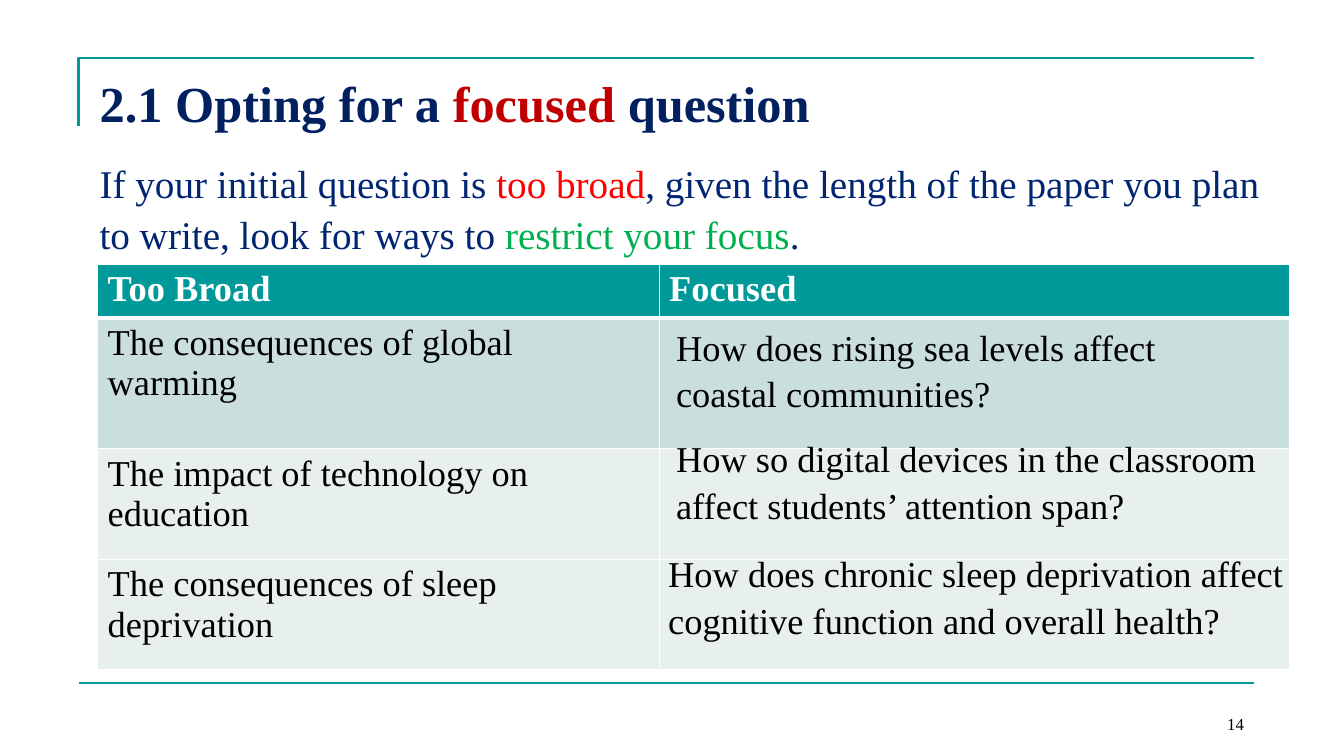
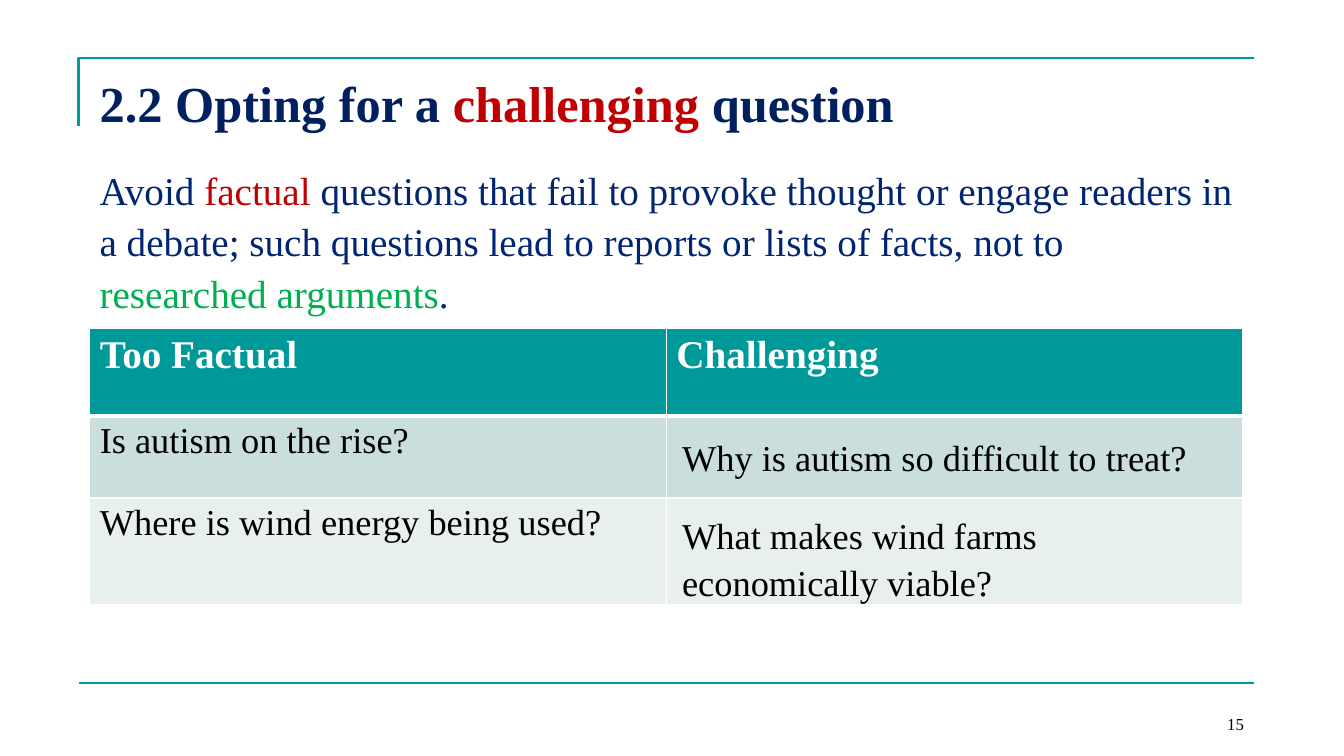
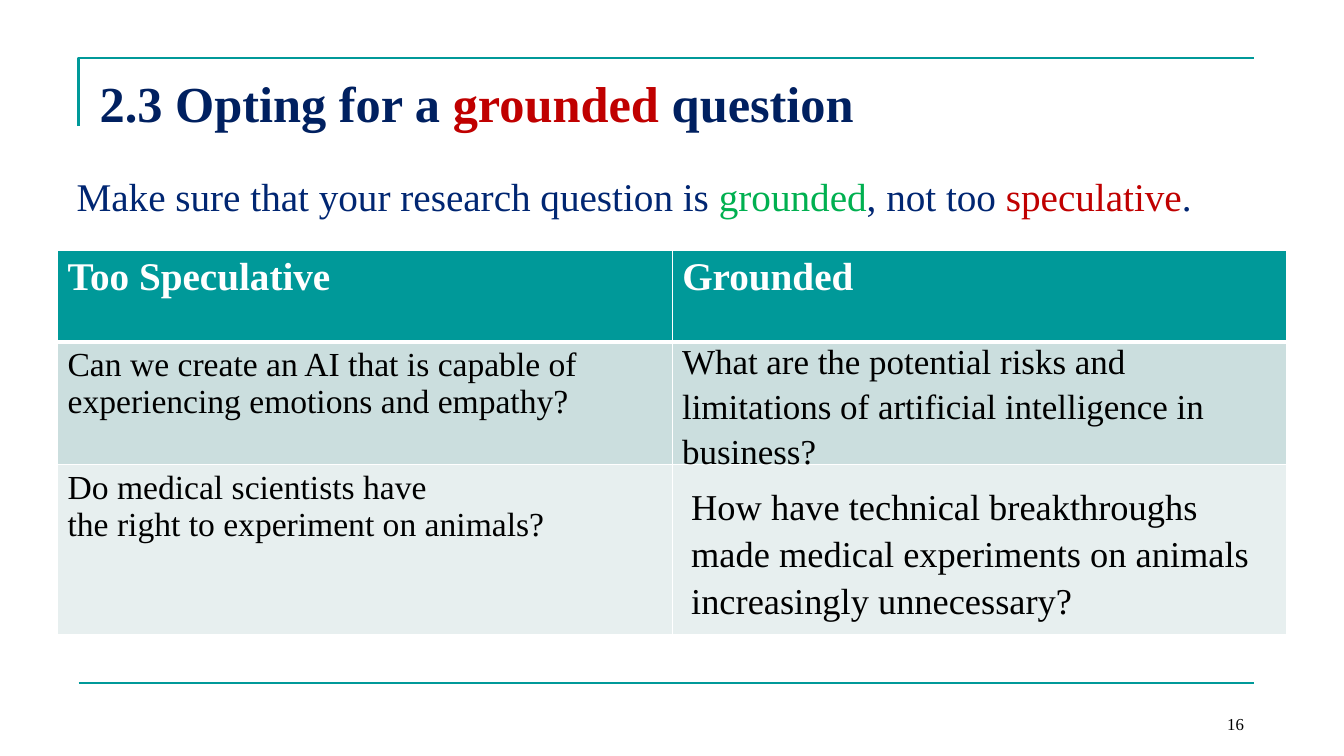
from dataclasses import dataclass
from typing import NamedTuple

from lxml import etree
from pptx import Presentation
from pptx.dml.color import RGBColor
from pptx.enum.shapes import MSO_CONNECTOR
from pptx.enum.text import MSO_ANCHOR, PP_ALIGN
from pptx.oxml.ns import qn
from pptx.util import Cm, Pt


@dataclass(frozen=True)
class Theme:
    font: str = "Times New Roman"
    teal: str = "009999"
    navy: str = "002060"
    blue: str = "002672"
    crimson: str = "C00000"
    red: str = "FF0000"
    green: str = "00B050"
    black: str = "000000"
    white: str = "FFFFFF"
    row_fills: tuple = ("CBDEDE", "E7EFEF")
    title_size: int = 36
    lead_size: int = 28
    answer_size: int = 26
    number_size: int = 12
    frame_width: float = 1.5
    cell_border: float = 1
    header_border: float = 3
    lead_spacing: float = 1.1
    answer_spacing: float = 1.07


THEME = Theme()


class Box(NamedTuple):
    """A region in centimetres."""
    left: float
    top: float
    width: float
    height: float

    def lengths(self):
        return [Cm(value) for value in self]


FRAME = Box(1.98, 1.47, 29.62, 15.73)
TITLE = Box(2.26, 1.7, 29.06, 2.46)
NUMBER = Box(23.7, 17.35, 7.9, 1.27)
FRAME_DROP = 1.71


def rgb(value):
    return RGBColor.from_string(value)


def style_font(font, size, colour, bold=False):
    font.name = THEME.font
    font.size = Pt(size)
    font.bold = bold
    font.color.rgb = rgb(colour)


def add_text(page, box, spans, size, colour, bold=False, spacing=None):
    """Place one paragraph made of (text, colour) spans; None keeps the base colour."""
    shape = page.shapes.add_textbox(*box.lengths())
    shape.text_frame.word_wrap = True
    para = shape.text_frame.paragraphs[0]
    style_font(para.font, size, colour, bold)
    if spacing:
        para.line_spacing = spacing
    for text, accent in spans:
        span = para.add_run()
        span.text = text
        style_font(span.font, size, accent or colour, bold)
    return shape


def add_frame(page, box):
    """Corner line above the title and rule above the footer."""
    right, bottom = box.left + box.width, box.top + box.height
    builder = page.shapes.build_freeform(Cm(box.left), Cm(box.top + FRAME_DROP))
    builder.add_line_segments(
        [(Cm(box.left), Cm(box.top)), (Cm(right), Cm(box.top))], close=False)
    corner = builder.convert_to_shape()
    corner.shadow.inherit = False
    corner.fill.background()
    rule = page.shapes.add_connector(
        MSO_CONNECTOR.STRAIGHT, Cm(box.left), Cm(bottom), Cm(right), Cm(bottom))
    for shape in (corner, rule):
        shape.line.color.rgb = rgb(THEME.teal)
        shape.line.width = Pt(THEME.frame_width)
    etree.SubElement(rule._element.spPr, qn("a:effectLst"))


def add_number(page, box, number):
    shape = add_text(page, box, [(str(number), None)], THEME.number_size, THEME.black)
    shape.text_frame.vertical_anchor = MSO_ANCHOR.BOTTOM
    shape.text_frame.paragraphs[0].alignment = PP_ALIGN.RIGHT


def set_borders(cell, top, bottom):
    """White cell borders; side borders have the standard width."""
    properties = cell._tc.get_or_add_tcPr()
    widths = {"L": THEME.cell_border, "R": THEME.cell_border, "T": top, "B": bottom}
    for side, width in widths.items():
        line = etree.SubElement(properties, qn(f"a:ln{side}"), w=str(Pt(width)))
        fill = etree.SubElement(line, qn("a:solidFill"))
        etree.SubElement(fill, qn("a:srgbClr"), val=THEME.white)


def add_comparison(page, left, top, widths, heights, headers, questions,
                   header_size, question_size):
    """Table whose right column leaves room for the answers."""
    box = Box(left, top, sum(widths), sum(heights))
    rows = [headers] + [(question, "") for question in questions]
    table = page.shapes.add_table(len(rows), len(widths), *box.lengths()).table
    table.horz_banding = False
    for column, width in zip(table.columns, widths):
        column.width = Cm(width)
    for index, (texts, height) in enumerate(zip(rows, heights)):
        table.rows[index].height = Cm(height)
        is_header = index == 0
        fill = THEME.teal if is_header else THEME.row_fills[min(index, 2) - 1]
        size = header_size if is_header else question_size
        colour = THEME.white if is_header else THEME.black
        for cell, text in zip(table.rows[index].cells, texts):
            set_borders(cell,
                        THEME.header_border if index == 1 else THEME.cell_border,
                        THEME.header_border if is_header else THEME.cell_border)
            cell.fill.solid()
            cell.fill.fore_color.rgb = rgb(fill)
            cell.text = text
            for para in cell.text_frame.paragraphs:
                style_font(para.font, size, colour, is_header)


def add_question_slide(deck, number, section, quality, lead_box, lead, table, answers):
    page = deck.slides.add_slide(deck.slide_layouts[6])
    add_frame(page, FRAME)
    add_text(page, TITLE,
             [(f"{section} Opting for a ", None), (quality, THEME.crimson),
              (" question", None)],
             THEME.title_size, THEME.navy, bold=True)
    add_text(page, lead_box, lead, THEME.lead_size, THEME.blue,
             spacing=THEME.lead_spacing)
    add_number(page, NUMBER, number)
    add_comparison(page, **table)
    for box, text, size in answers:
        add_text(page, box, [(text, None)], size, THEME.black,
                 spacing=THEME.answer_spacing)


SLIDES = [
    dict(
        section="2.1", quality="focused",
        lead_box=Box(2.26, 3.76, 29.82, 12.34),
        lead=[("If your initial question is", None), (" too broad", THEME.red),
              (", given the length of the paper you plan to write, "
               "look for ways to ", None),
              ("restrict your focus", THEME.green), (".", None)],
        table=dict(
            left=2.46, top=6.65, widths=(14.15, 15.9),
            heights=(1.27, 3.3, 2.79, 2.79),
            headers=("Too Broad", "Focused"),
            questions=("The consequences of global warming",
                       "The impact of technology on education",
                       "The consequences of sleep deprivation"),
            header_size=26, question_size=26),
        answers=[
            (Box(16.79, 7.98, 14.86, 3.07),
             "How does rising sea levels affect coastal communities?",
             THEME.answer_size),
            (Box(16.79, 10.8, 15.62, 3.07),
             "How so digital devices in the classroom affect students’ attention span?",
             THEME.answer_size),
            (Box(16.59, 13.69, 17.27, 2.49),
             "How does chronic sleep deprivation affect cognitive function "
             "and overall health?", THEME.answer_size)]),
    dict(
        section="2.2", quality="challenging",
        lead_box=Box(2.26, 3.94, 29.06, 12.34),
        lead=[("Avoid ", None), ("factual", THEME.crimson),
              (" questions that fail to provoke thought or engage readers in a "
               "debate; such questions lead to reports or lists of facts, "
               "not to ", None),
              ("researched arguments", THEME.green), (".", None)],
        table=dict(
            left=2.26, top=8.28, widths=(14.53, 14.53),
            heights=(2.21, 2.06, 2.69),
            headers=("Too Factual", "Challenging"),
            questions=("Is autism on the rise?", "Where is wind energy being used?"),
            header_size=28, question_size=26),
        answers=[
            (Box(16.94, 10.77, 13.72, 1.96),
             "Why is autism so difficult to treat?", THEME.answer_size),
            (Box(16.94, 12.73, 13.72, 2.49),
             "What makes wind farms economically viable?", THEME.answer_size)]),
    dict(
        section="2.3", quality="grounded",
        lead_box=Box(1.68, 4.09, 29.06, 12.34),
        lead=[("Make sure that your research question is ", None),
              ("grounded", THEME.green), (", not too ", None),
              ("speculative", THEME.crimson), (".", None)],
        table=dict(
            left=1.45, top=6.3, widths=(15.49, 15.49),
            heights=(2.31, 3.1, 4.29),
            headers=("Too Speculative", "Grounded"),
            questions=("Can we create an AI that is capable of experiencing "
                       "emotions and empathy?",
                       "Do medical scientists have\n"
                       "the right to experiment on animals?"),
            header_size=28, question_size=24),
        answers=[
            (Box(16.94, 8.36, 15.49, 4.19),
             "What are the potential risks and limitations of artificial "
             "intelligence in business?", 25),
            (Box(17.17, 12.01, 15.27, 4.19),
             "How have technical breakthroughs made medical experiments on "
             "animals increasingly unnecessary?", THEME.answer_size)]),
]


def main():
    deck = Presentation()
    deck.slide_width, deck.slide_height = Cm(33.87), Cm(19.05)
    for number, content in enumerate(SLIDES, start=14):
        add_question_slide(deck, number, **content)
    deck.save("out.pptx")


if __name__ == "__main__":
    main()
